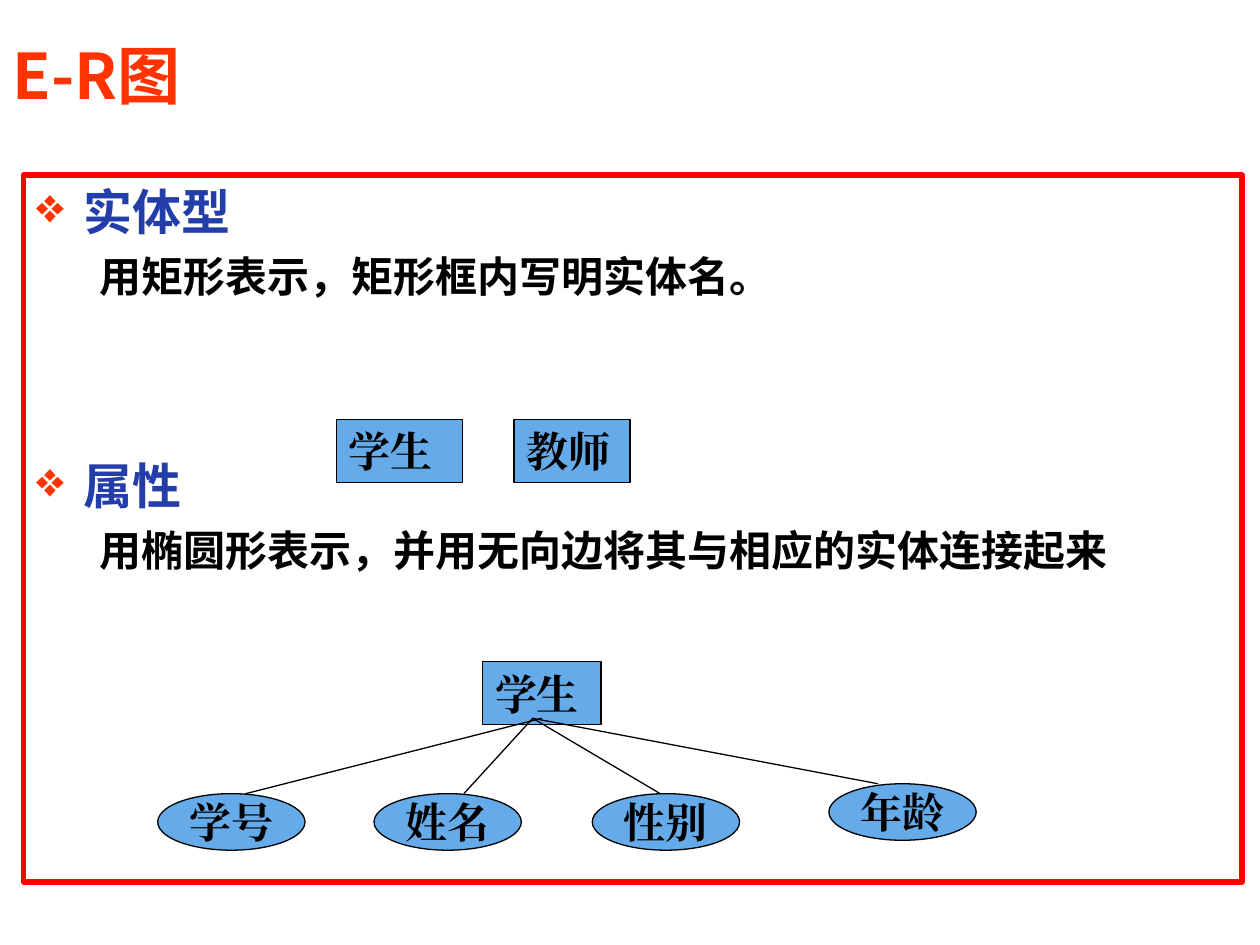
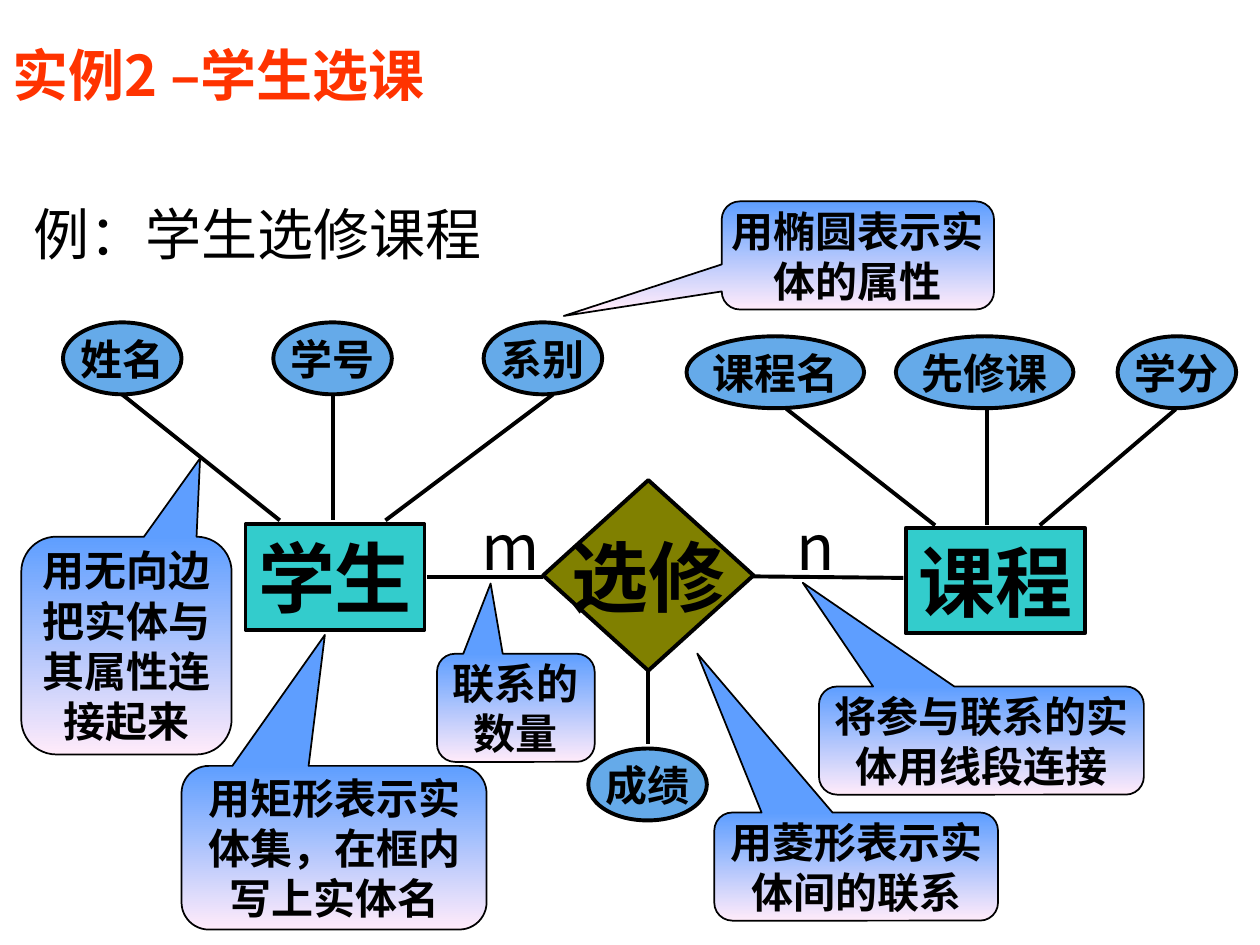
import pptx
import pptx.dml.color
import pptx.enum.shapes
import pptx.enum.text
import pptx.oxml.ns
import pptx.util
from lxml import etree

Cm, Pt = pptx.util.Cm, pptx.util.Pt
SHAPE = pptx.enum.shapes.MSO_SHAPE
ALIGN = pptx.enum.text.PP_ALIGN
ANCHOR = pptx.enum.text.MSO_ANCHOR
qn = pptx.oxml.ns.qn

COLORS = {
    "title": "FF3300", "frame": "FF0000", "heading": "233DA9", "ink": "000000",
    "node": "65AAE9", "entity": "33CCCC", "relation": "808000",
    "note_top": "5E9EFF", "note_bottom": "FFEBFA",
}
SC, JP, SERIF = "Noto Sans CJK SC", "Noto Sans CJK JP", "Times New Roman"


def rgb(name):
    return pptx.dml.color.RGBColor.from_string(COLORS[name])


def write(p, text, size=24, font=JP, color="ink", bold=True, align=ALIGN.CENTER,
          before=0, bullet=None, margin=0, indent=0):
    """Fill one paragraph with formatted text."""
    pPr = p._p.get_or_add_pPr()
    pPr.set("marL", str(Cm(margin)))
    pPr.set("indent", str(Cm(indent)))
    p.alignment = align
    p.space_before = Pt(before)
    if bullet:
        clr = etree.SubElement(pPr, qn("a:buClr"))
        etree.SubElement(clr, qn("a:srgbClr"), val=COLORS["title"])
        etree.SubElement(pPr, qn("a:buChar"), char=bullet)
    else:
        etree.SubElement(pPr, qn("a:buNone"))
    r = p.add_run()
    r.text = text
    r.font.size, r.font.name, r.font.bold = Pt(size), font, bold
    r.font.color.rgb = rgb(color)
    etree.SubElement(r._r.get_or_add_rPr(), qn("a:ea"), typeface=font)


class Deck:
    def __init__(self):
        self.prs = pptx.Presentation()
        self.prs.slide_width, self.prs.slide_height = Cm(25.4), Cm(19.05)
        self.s = None

    def slide(self, title, size):
        self.s = self.prs.slides.add_slide(self.prs.slide_layouts[6])
        self.label(title, 0, 0.71, 20.52, 1.57, size=size, font=SC, color="title",
                   align=ALIGN.LEFT)

    def frame_text(self, tf, anchor=ANCHOR.MIDDLE, wrap=False, inset=(0.25, 0.13)):
        tf.word_wrap, tf.vertical_anchor = wrap, anchor
        tf.margin_left = tf.margin_right = Cm(inset[0])
        tf.margin_top = tf.margin_bottom = Cm(inset[1])

    def label(self, text, x, y, w, h, **fmt):
        sp = self.s.shapes.add_textbox(Cm(x), Cm(y), Cm(w), Cm(h))
        self.frame_text(sp.text_frame)
        write(sp.text_frame.paragraphs[0], text, **fmt)

    def shape(self, kind, x, y, w, h, fill=None, line="ink", weight=0.75):
        sp = self.s.shapes.add_shape(kind, Cm(x), Cm(y), Cm(w), Cm(h))
        sp.shadow.inherit = False
        if fill:
            sp.fill.solid()
            sp.fill.fore_color.rgb = rgb(fill)
        else:
            sp.fill.background()
        sp.line.color.rgb = rgb(line)
        sp.line.width = Pt(weight)
        return sp

    def node(self, kind, text, x, y, w, h, fill="node", weight=0.75, inset=(0.25, 0.13), **fmt):
        sp = self.shape(kind, x, y, w, h, fill, weight=weight)
        self.frame_text(sp.text_frame, inset=inset)
        write(sp.text_frame.paragraphs[0], text, **fmt)

    def callout(self, lines, x, y, w, h, tip):
        sp = self.shape(SHAPE.ROUNDED_RECTANGULAR_CALLOUT, x, y, w, h, weight=1)
        sp.adjustments[0], sp.adjustments[1] = tip
        sp.fill.gradient()
        sp.fill.gradient_angle = 270
        for stop, name, pos in zip(sp.fill.gradient_stops, ("note_top", "note_bottom"), (0, 1)):
            stop.color.rgb, stop.position = rgb(name), pos
        tf = sp.text_frame
        self.frame_text(tf, wrap=True, inset=(0, 0))
        for i, text in enumerate(lines):
            write(tf.add_paragraph() if i else tf.paragraphs[0], text)

    def line(self, x1, y1, x2, y2, weight=2.25):
        c = self.s.shapes.add_connector(pptx.enum.shapes.MSO_CONNECTOR.STRAIGHT,
                                        Cm(x1), Cm(y1), Cm(x2), Cm(y2))
        c.line.color.rgb = rgb("ink")
        c.line.width = Pt(weight)
        etree.SubElement(c._element.spPr, qn("a:effectLst"))

    def outline(self, topics, x, y, w, h, gap):
        """Framed text: bulleted headings, each with one line of explanation."""
        sp = self.shape(SHAPE.RECTANGLE, x, y, w, h, line="frame", weight=3)
        tf = sp.text_frame
        self.frame_text(tf, ANCHOR.TOP, wrap=True)
        for i, (heading, detail) in enumerate(topics):
            p = tf.add_paragraph() if i else tf.paragraphs[0]
            write(p, heading, size=28, font="Arial", color="heading", align=ALIGN.LEFT,
                  before=gap if i else 0, bullet="❖", margin=0.95, indent=-0.95)
            write(tf.add_paragraph(), detail, font="Arial", align=ALIGN.LEFT,
                  before=6, margin=2.06, indent=-0.79)


def er_symbols(d):
    d.slide("E-R图", 36)
    d.outline([("实体型", "用矩形表示，矩形框内写明实体名。"),
               ("属性", "用椭圆形表示，并用无向边将其与相应的实体连接起来")],
              0.48, 3.53, 24.56, 14.25, gap=88)

    # Entities
    for text, x, y, w in [("学生", 6.78, 8.46, 2.54), ("教师", 10.36, 8.46, 2.34),
                          ("学生", 9.73, 13.34, 2.39)]:
        d.node(SHAPE.RECTANGLE, text, x, y, w, 1.27, font=SERIF, align=ALIGN.LEFT)

    # Attributes, each joined to the student
    for text, x, y, start, end in [("学号", 3.18, 16, 10.92, 4.95), ("姓名", 7.54, 16, 10.74, 9.35),
                                   ("性别", 11.94, 16, 10.74, 13.31), ("年龄", 16.71, 15.8, 10.74, 17.7)]:
        d.node(SHAPE.OVAL, text, x, y, 2.97, 1.14, font=SERIF)
        d.line(start, 14.48, end, y, weight=0.75)


def course_selection(d):
    d.slide("实例2 –学生选课", 32)
    d.label("例：学生选修课程", 0.43, 3.89, 9.96, 1.63, size=32, font=SC, bold=False,
            align=ALIGN.LEFT)

    # Entities and their relation
    big = dict(size=44, weight=2.25)
    d.node(SHAPE.RECTANGLE, "学生", 4.95, 10.57, 3.61, 2.13, "entity", **big)
    d.node(SHAPE.RECTANGLE, "课程", 18.26, 10.64, 3.61, 2.13, "entity", **big)
    d.node(SHAPE.DIAMOND, "选修", 10.95, 9.68, 4.24, 3.84, "relation", **big)

    # Attributes
    for text, x, y, w in [("姓名", 1.27, 6.5, 2.39), ("学号", 5.51, 6.5, 2.39),
                          ("系别", 9.75, 6.5, 2.39), ("课程名", 13.84, 6.78, 3.58),
                          ("先修课", 18.06, 6.78, 3.58), ("学分", 22.53, 6.78, 2.39),
                          ("成绩", 11.86, 15.09, 2.39)]:
        d.node(SHAPE.OVAL, text, x, y, w, 1.45, weight=2.25, inset=(0, 0))

    # Undirected edges
    for ends in [(10.95, 11.63, 8.61, 11.63), (18.21, 11.65, 15.16, 11.62),
                 (5.64, 10.49, 2.46, 7.95), (6.71, 7.95, 6.71, 10.49), (7.77, 10.49, 11.15, 7.95),
                 (18.85, 10.59, 15.85, 8.24), (19.89, 8.25, 19.89, 10.59),
                 (20.96, 10.59, 23.7, 8.25), (13.06, 13.51, 13.06, 14.99)]:
        d.line(*ends)

    # Cardinalities
    for text, x in [("m", 9.45), ("n", 15.8)]:
        d.label(text, x, 10.57, 0.84, 0.84, size=36, bold=False)

    # Explanations
    for lines, x, y, w, h, tip in [
        (["用矩形表示实体集，在框内写上实体名"], 3.66, 15.44, 6.15, 3.3, (-0.03, -1.3)),
        (["用椭圆表示实体的属性"], 14.55, 4.06, 5.49, 2.18, (-1.08, 0.56)),
        (["用无向边把实体与其属性连接起来"], 0.43, 10.82, 4.24, 4.39, (0.35, -0.86)),
        (["用菱形表示实体间的联系"], 14.4, 16.38, 5.72, 2.18, (-0.56, -1.97)),
        (["将参与联系的实体用线段连接"], 16.51, 13.84, 6.55, 2.18, (-0.55, -1.46)),
        (["联系的", "数量"], 8.81, 13.18, 3.18, 2.18, (-0.16, -1.15)),
    ]:
        d.callout(lines, x, y, w, h, tip)


def main():
    d = Deck()
    er_symbols(d)
    course_selection(d)
    d.prs.save("out.pptx")


if __name__ == "__main__":
    main()
